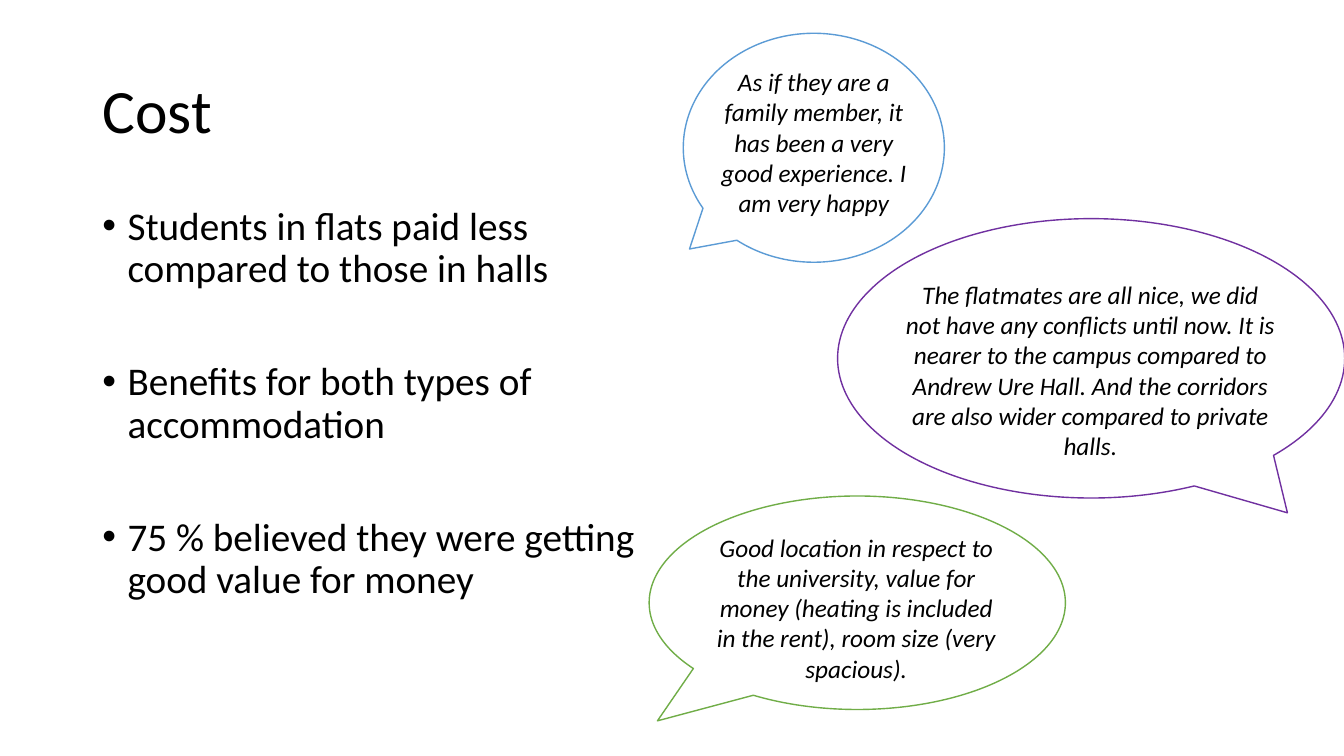
from pptx import Presentation
from pptx.dml.color import RGBColor
from pptx.enum.shapes import MSO_SHAPE as Shape
from pptx.enum.text import MSO_ANCHOR as Anchor, PP_ALIGN as Align
from pptx.oxml import parse_xml
from pptx.oxml.ns import nsdecls
from pptx.util import Cm, Pt

TITLE = {"text": "Cost", "area": (2.33, 1.01, 29.21, 3.68)}
FINDINGS = {
    "area": (2.33, 5.07, 14.4, 12.09),
    "items": [
        "Students in flats paid less compared to those in halls",
        "Benefits for both types of accommodation",
        "75 % believed they were getting good value for money",
    ],
}
QUOTES = [
    {
        "text": "As if they are a family member, it has been a very good experience. I am very happy",
        "bubble": (17.22, 0.84, 6.58, 5.77),
        "tail": (-0.476, 0.442),
        "area": (17.73, 1.55, 5.56, 4.11),
        "outline": "blue",
    },
    {
        "text": "The flatmates are all nice, we did not have any conflicts until now. "
                "It is nearer to the campus compared to Andrew Ure Hall. "
                "And the corridors are also wider compared to private halls.",
        "bubble": (21.11, 5.51, 12.78, 7.04),
        "tail": (0.387, 0.553),
        "area": (22.5, 6.91, 9.96, 4.88),
        "outline": "purple",
    },
    {
        "text": "Good location in respect to the university, value for money "
                "(heating is included in the rent), room size (very spacious).",
        "bubble": (16.36, 12.5, 10.49, 5.38),
        "tail": (-0.48, 0.553),
        "area": (17.63, 13.28, 7.9, 4.11),
        "outline": "green",
    },
]
THEME = {
    "font": "Calibri",
    "ink": "000000",
    "paper": "FFFFFF",
    "blue": "5B9BD5",
    "purple": "7030A0",
    "green": "70AD47",
    "title": 44,
    "body": 28,
    "quote": 18,
    "outline": 1,
    "item_gap": 50.7,
    "indent": 0.635,
}


def color(name):
    return RGBColor.from_string(THEME[name])


def add_bullet(para):
    props = para._p.get_or_add_pPr()
    indent = Cm(THEME["indent"])
    props.set("marL", str(indent))
    props.set("indent", str(-indent))
    props.append(parse_xml(f'<a:buFont {nsdecls("a")} typeface="Arial"/>'))
    props.append(parse_xml(f'<a:buChar {nsdecls("a")} char="•"/>'))


def add_text(page, area, texts, *, size, italic=False, align=Align.LEFT,
             anchor=Anchor.TOP, line_spacing=1.0, gap=0, bullet=False):
    frame = page.shapes.add_textbox(*map(Cm, area)).text_frame
    frame.word_wrap = True
    frame.vertical_anchor = anchor
    for index, text in enumerate(texts):
        para = frame.add_paragraph() if index else frame.paragraphs[0]
        para.alignment = align
        para.line_spacing = line_spacing
        para.space_before = Pt(gap if index else 0)
        if bullet:
            add_bullet(para)
        span = para.add_run()
        span.text = text
        span.font.name = THEME["font"]
        span.font.size = Pt(THEME[size])
        span.font.italic = italic
        span.font.color.rgb = color("ink")


def add_bubble(page, area, tail, outline):
    bubble = page.shapes.add_shape(Shape.OVAL_CALLOUT, *map(Cm, area))
    bubble.adjustments[0], bubble.adjustments[1] = tail
    bubble.shadow.inherit = False
    bubble.fill.solid()
    bubble.fill.fore_color.rgb = color("paper")
    bubble.line.color.rgb = color(outline)
    bubble.line.width = Pt(THEME["outline"])


def main():
    deck = Presentation()
    deck.slide_width, deck.slide_height = Cm(33.87), Cm(19.05)
    page = deck.slides.add_slide(deck.slide_layouts[6])
    add_text(page, TITLE["area"], [TITLE["text"]], size="title",
             anchor=Anchor.MIDDLE, line_spacing=0.9)
    add_text(page, FINDINGS["area"], FINDINGS["items"], size="body",
             line_spacing=0.9, gap=THEME["item_gap"], bullet=True)
    for quote in QUOTES:
        add_bubble(page, quote["bubble"], quote["tail"], quote["outline"])
        add_text(page, quote["area"], [quote["text"]], size="quote",
                 italic=True, align=Align.CENTER)
    deck.save("out.pptx")


if __name__ == "__main__":
    main()
